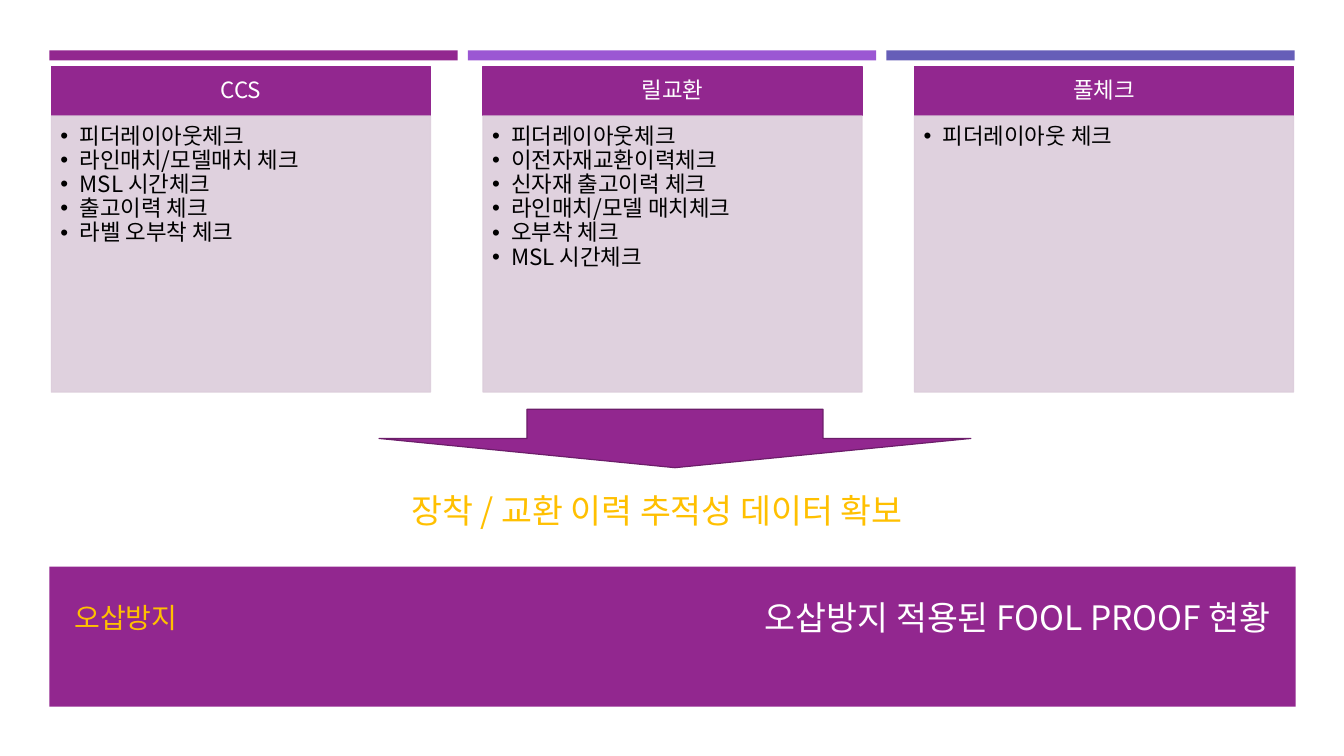
from dataclasses import dataclass

from lxml import etree
from pptx import Presentation
from pptx.dml.color import RGBColor
from pptx.enum.shapes import MSO_SHAPE
from pptx.enum.text import MSO_ANCHOR, PP_ALIGN
from pptx.oxml.ns import qn
from pptx.shapes.autoshape import Shape
from pptx.slide import Slide
from pptx.util import Inches, Pt

RECT, DOWN_ARROW = MSO_SHAPE.RECTANGLE, MSO_SHAPE.DOWN_ARROW
TOP, MIDDLE = MSO_ANCHOR.TOP, MSO_ANCHOR.MIDDLE
LEFT, CENTER, RIGHT = PP_ALIGN.LEFT, PP_ALIGN.CENTER, PP_ALIGN.RIGHT


@dataclass(frozen=True)
class Theme:
    font: str = "Noto Sans CJK KR"
    purple: str = "92278F"
    dark_purple: str = "6C1D6A"
    violet: str = "9B57D3"
    indigo: str = "665EB8"
    panel: str = "DCCDDB"
    gold: str = "FFC000"
    white: str = "FFFFFF"
    black: str = "000000"
    body_size: int = 16
    title_size: int = 20
    message_size: int = 24
    line_width: float = 0.85


@dataclass(frozen=True)
class Box:
    left: float
    top: float
    width: float
    height: float

    def emu(self) -> tuple[int, ...]:
        return tuple(Inches(v) for v in (self.left, self.top, self.width, self.height))


@dataclass(frozen=True)
class TextStyle:
    size: int
    color: str
    align: PP_ALIGN = LEFT
    anchor: MSO_ANCHOR = MIDDLE
    insets: tuple[float, float, float, float] = (0.1, 0.05, 0.1, 0.05)
    line_spacing: float = 1.0
    bullet_indent: float = 0


@dataclass(frozen=True)
class Column:
    heading: str
    checks: tuple[str, ...]
    bar_color: str


THEME = Theme()
HEADING = TextStyle(THEME.body_size, THEME.white, CENTER, MIDDLE,
                    (0.12, 0.07, 0.12, 0.07), 0.9)
CHECKS = TextStyle(THEME.body_size, THEME.black, LEFT, TOP,
                   (0.09, 0.09, 0.12, 0.14), 0.9, 0.19)
TITLE = TextStyle(THEME.title_size, THEME.gold)
SUBTITLE = TextStyle(THEME.message_size, THEME.white, RIGHT)
MESSAGE = TextStyle(THEME.message_size, THEME.gold, anchor=TOP)

COLUMNS = (
    Column("CCS", ("피더레이아웃체크", "라인매치/모델매치 체크", "MSL 시간체크",
                   "출고이력 체크", "라벨 오부착 체크"), THEME.purple),
    Column("릴교환", ("피더레이아웃체크", "이전자재교환이력체크", "신자재 출고이력 체크",
                   "라인매치/모델 매치체크", "오부착 체크", "MSL 시간체크"), THEME.violet),
    Column("풀체크", ("피더레이아웃 체크",), THEME.indigo),
)
BAR_LEFT, BAR_PITCH = 0.49, 4.15
COLUMN_LEFT, COLUMN_PITCH, COLUMN_WIDTH = 0.51, 4.28, 3.76


def add_block(s: Slide, box: Box, fill: str, line: str = "",
              kind: MSO_SHAPE = RECT) -> Shape:
    sp = s.shapes.add_shape(kind, *box.emu())
    sp.shadow.inherit = False
    sp.fill.solid()
    sp.fill.fore_color.rgb = RGBColor.from_string(fill)
    if line:
        sp.line.color.rgb = RGBColor.from_string(line)
        sp.line.width = Pt(THEME.line_width)
    else:
        sp.line.fill.background()
    return sp


def set_opacity(sp: Shape, percent: int) -> None:
    """Apply the opacity to both fill and outline."""
    for color in sp._element.spPr.iter(qn("a:srgbClr")):
        etree.SubElement(color, qn("a:alpha"), val=str(percent * 1000))


def write(sp: Shape, lines: tuple[str, ...], style: TextStyle) -> None:
    tf = sp.text_frame
    left, top, right, bottom = (Inches(v) for v in style.insets)
    frame_format = {"word_wrap": True, "vertical_anchor": style.anchor,
                    "margin_left": left, "margin_top": top,
                    "margin_right": right, "margin_bottom": bottom}
    for name, value in frame_format.items():
        setattr(tf, name, value)
    for i, line in enumerate(lines):
        p = tf.paragraphs[0] if i == 0 else tf.add_paragraph()
        p.alignment = style.align
        p.line_spacing = style.line_spacing
        if style.bullet_indent:
            indent = Inches(style.bullet_indent)
            pPr = p._p.get_or_add_pPr()
            pPr.set("marL", str(indent))
            pPr.set("indent", str(-indent))
            etree.SubElement(pPr, qn("a:buFont"), typeface="Arial")
            etree.SubElement(pPr, qn("a:buChar"), char="•")
        r = p.add_run()
        r.text = line
        r.font.size = Pt(style.size)
        r.font.name = THEME.font
        r.font.color.rgb = RGBColor.from_string(style.color)
        etree.SubElement(r._r.get_or_add_rPr(), qn("a:ea"), typeface=THEME.font)


def add_text(s: Slide, box: Box, text: str, style: TextStyle) -> None:
    write(s.shapes.add_textbox(*box.emu()), (text,), style)


def add_column(s: Slide, index: int, column: Column) -> None:
    add_block(s, Box(BAR_LEFT + index * BAR_PITCH, 0.5, 4.05, 0.1), column.bar_color)
    left = COLUMN_LEFT + index * COLUMN_PITCH
    heading = add_block(s, Box(left, 0.66, COLUMN_WIDTH, 0.49),
                        THEME.purple, THEME.purple)
    write(heading, (column.heading,), HEADING)
    panel = add_block(s, Box(left, 1.15, COLUMN_WIDTH, 2.74), THEME.panel, THEME.panel)
    set_opacity(panel, 90)
    write(panel, column.checks, CHECKS)


def main() -> None:
    prs = Presentation()
    prs.slide_width, prs.slide_height = Inches(13.33), Inches(7.5)
    s = prs.slides.add_slide(prs.slide_layouts[6])
    for i, column in enumerate(COLUMNS):
        add_column(s, i, column)
    add_block(s, Box(0.49, 5.62, 12.36, 1.39), THEME.purple)
    add_text(s, Box(0.64, 5.75, 5.37, 0.75), "오삽방지", TITLE)
    add_text(s, Box(6.28, 5.75, 6.42, 0.75), "오삽방지 적용된 FOOL PROOF 현황", SUBTITLE)
    add_block(s, Box(3.76, 4.06, 5.87, 0.58), THEME.purple, THEME.dark_purple, DOWN_ARROW)
    add_text(s, Box(3.98, 4.81, 5.88, 0.5), "장착 / 교환 이력 추적성 데이터 확보", MESSAGE)
    prs.save("out.pptx")


if __name__ == "__main__":
    main()
